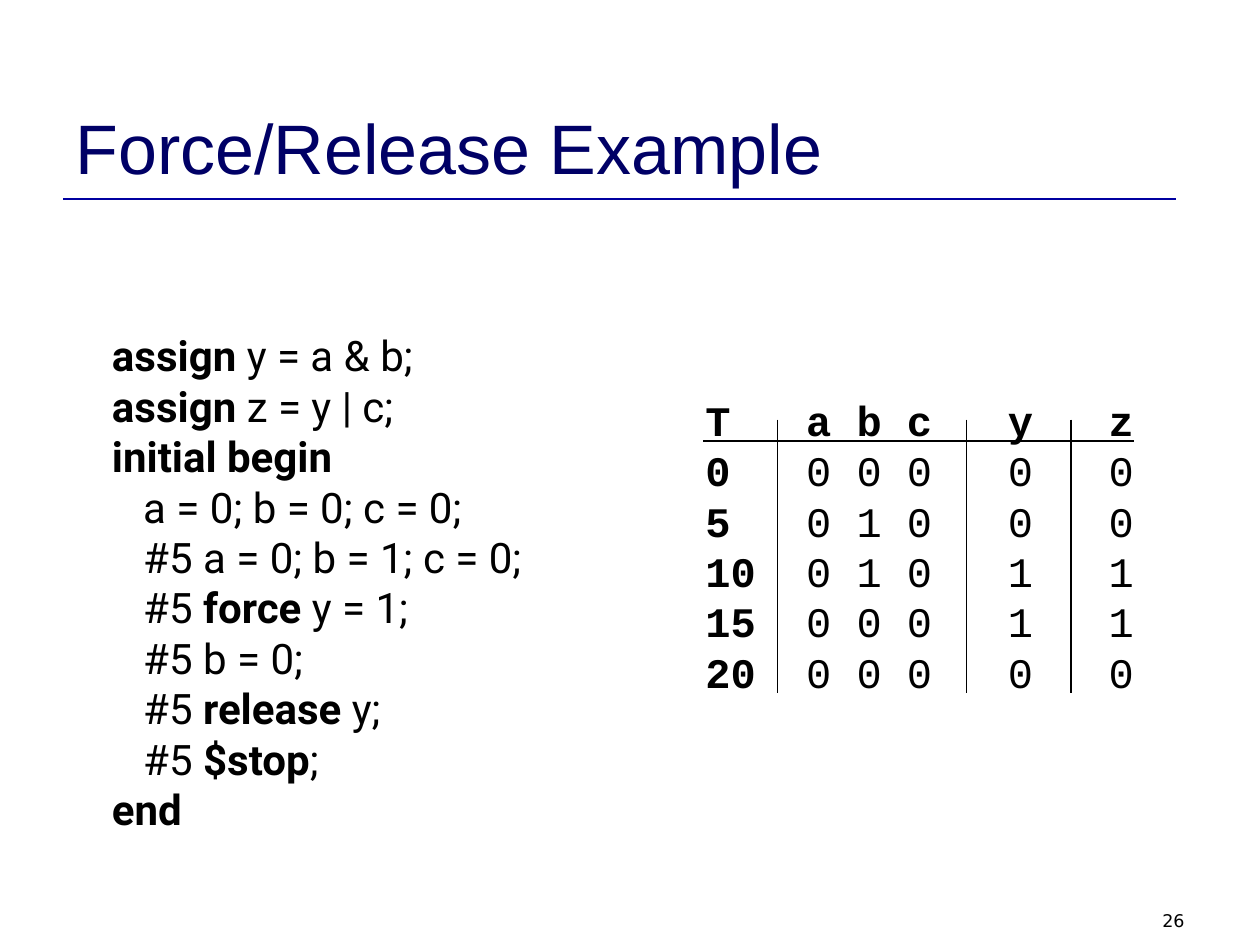
from lxml import etree
from pptx import Presentation
from pptx.dml.color import RGBColor
from pptx.enum import shapes, text
from pptx.oxml import ns
from pptx.util import Inches, Pt

BLACK, NAVY, BLUE = "000000", "000066", "0000A0"
CODE = [
    "*assign* y = a & b;",
    "*assign* z = y | c;",
    "*initial begin*",
    "   a = 0; b = 0; c = 0;",
    "   #5 a = 0; b = 1; c = 0;",
    "   #5 *force* y = 1;",
    "   #5 b = 0;",
    "   #5 *release* y;",
    "   #5 *$stop*;",
    "*end*",
]
TIMES = [0, 5, 10, 15, 20]
STATES = ["00000", "01000", "01011", "00011", "00000"]


def color(code):
    return RGBColor.from_string(code)


def write(frame, lines, font, size, fill=BLACK, align=text.PP_ALIGN.LEFT, stops=()):
    """Fill a frame with lines; words between asterisks are bold."""
    for i, line in enumerate(lines):
        para = frame.paragraphs[0] if i == 0 else frame.add_paragraph()
        para.alignment = align
        if stops:
            tabs = etree.SubElement(para._p.get_or_add_pPr(), ns.qn("a:tabLst"))
            for stop in stops:
                etree.SubElement(tabs, ns.qn("a:tab"), pos=str(Inches(stop)), algn="l")
        for j, part in enumerate(line.split("*")):
            if part:
                run = para.add_run()
                run.text = part
                run.font.name, run.font.size = font, Pt(size)
                run.font.bold = j % 2 == 1
                run.font.color.rgb = color(fill)


def label(slide, box, lines, font, size, wrap=False, **style):
    frame = slide.shapes.add_textbox(*map(Inches, box)).text_frame
    frame.word_wrap = wrap
    if not wrap:
        frame.auto_size = text.MSO_AUTO_SIZE.SHAPE_TO_FIT_TEXT
    write(frame, lines, font, size, **style)


def rule(slide, x1, y1, x2, y2, fill=BLACK, width=1):
    line = slide.shapes.add_connector(
        shapes.MSO_CONNECTOR.STRAIGHT, *map(Inches, (x1, y1, x2, y2)))
    line.line.color.rgb = color(fill)
    line.line.width = Pt(width)
    etree.SubElement(line._element.spPr, ns.qn("a:effectLst"))


def header(slide, box):
    left, top, width, height = box
    rule(slide, left, top + height + 0.03, 9.33, top + height + 0.03, BLUE, 1.5)
    title = slide.shapes.title
    title.left, title.top, title.width, title.height = map(Inches, box)
    frame = title.text_frame
    frame.auto_size = text.MSO_AUTO_SIZE.NONE
    frame.vertical_anchor = text.MSO_ANCHOR.BOTTOM
    write(frame, ["Force/Release Example"], "Arial", 40, fill=NAVY)


def trace(slide, box):
    """Signal values over time, set on tab stops and split by rules."""
    left, top = box[:2]
    rows = ["*" + "\t".join("Tabcyz") + "*"]
    rows += [f"*{t}*\t" + "\t".join(s) for t, s in zip(TIMES, STATES)]
    label(slide, box, rows, "Courier New", 24, stops=(0.8, 1.2, 1.6, 2.4, 3.2))
    rule(slide, left + 0.08, top + 0.42, left + 3.5, top + 0.42)
    for x in (0.67, 2.17, 3):
        rule(slide, left + x, top + 0.25, left + x, top + 2.42)


def main():
    deck = Presentation()
    deck.slide_width, deck.slide_height = Inches(10), Inches(7.5)
    slide = deck.slides.add_slide(deck.slide_layouts[5])
    # Title and its rule
    header(slide, (0.5, 0.3, 9, 1.25))
    # Page number
    label(slide, (7.17, 7.17, 2.33, 0.25), ["26"], "DejaVu Sans", 10,
          wrap=True, align=text.PP_ALIGN.RIGHT)
    # Code and its result
    label(slide, (0.79, 2.57, 3.61, 4.1), CODE, "Roboto", 24)
    trace(slide, (5.5, 3.08, 3.6, 2.5))
    deck.save("out.pptx")


if __name__ == "__main__":
    main()
